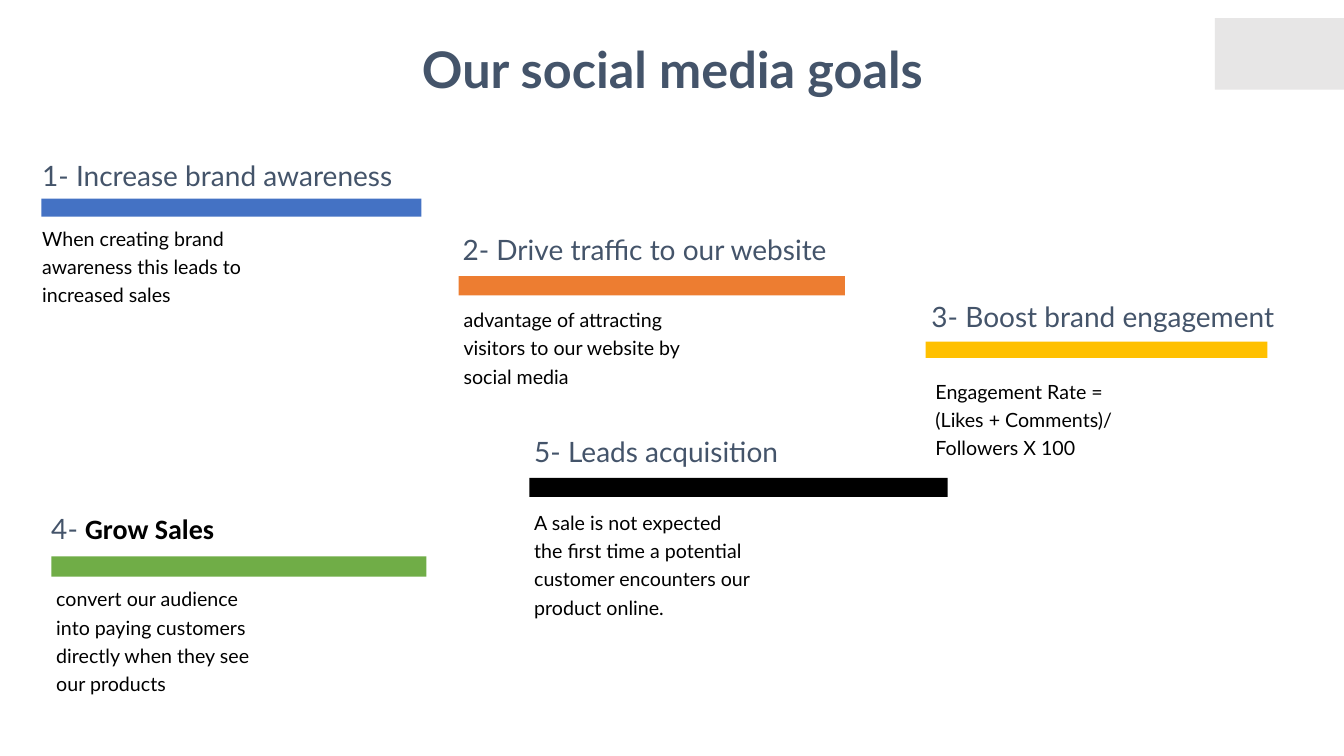
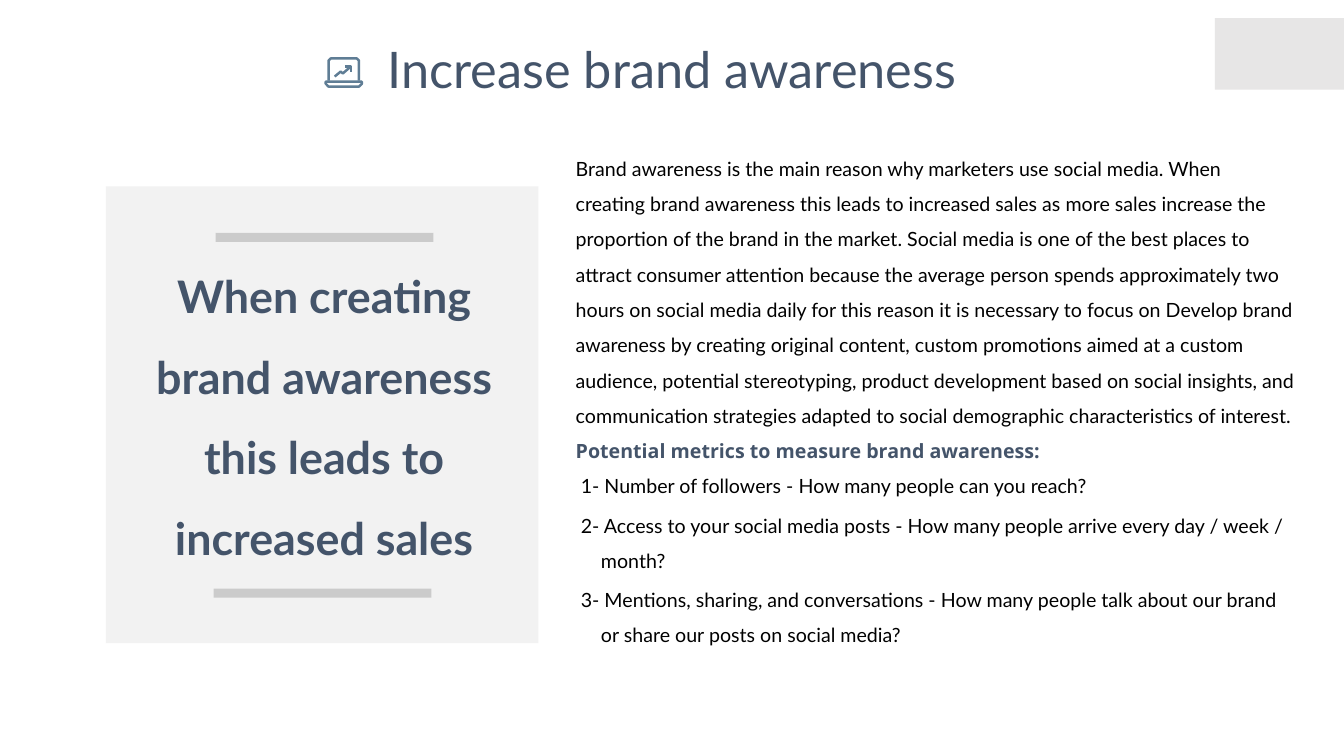
"""Build two slides on social media goals and brand awareness."""
from lxml.etree import SubElement
from pptx import Presentation
from pptx.dml.color import RGBColor
from pptx.enum.shapes import MSO_SHAPE
from pptx.enum.text import PP_ALIGN
from pptx.oxml.ns import qn
from pptx.util import Inches, Pt

NAVY = RGBColor(0x44, 0x54, 0x6A)
BLACK = RGBColor(0, 0, 0)
BLUE = RGBColor(0x44, 0x72, 0xC4)
ORANGE = RGBColor(0xED, 0x7D, 0x31)
GOLD = RGBColor(0xFF, 0xC0, 0x00)
GREEN = RGBColor(0x70, 0xAD, 0x47)
SILVER = RGBColor(0xE7, 0xE6, 0xE6)
PALE = RGBColor(0xF2, 0xF2, 0xF2)
GRAY = RGBColor(0xA5, 0xA5, 0xA5)
STEEL = RGBColor(0x5F, 0x7D, 0x95)


def add_bar(slide, left, top, width, height, color):
    bar = slide.shapes.add_shape(
        MSO_SHAPE.RECTANGLE, Inches(left), Inches(top), Inches(width), Inches(height))
    bar.shadow.inherit = False
    bar.fill.solid()
    bar.fill.fore_color.rgb = color
    bar.line.fill.background()
    return bar


def add_text(slide, left, top, width, height, lines, size, color,
             bold=False, space=None, align=PP_ALIGN.LEFT, inset=(0.1, 0.05)):
    frame = slide.shapes.add_textbox(
        Inches(left), Inches(top), Inches(width), Inches(height)).text_frame
    frame.word_wrap = True
    frame.margin_left = frame.margin_right = Inches(inset[0])
    frame.margin_top = frame.margin_bottom = Inches(inset[1])
    for i, line in enumerate(lines):
        para = frame.paragraphs[0] if i == 0 else frame.add_paragraph()
        para.text = line
        para.alignment = align
        para.line_spacing = space
        para.font.name = "Lato"
        para.font.size = Pt(size)
        para.font.bold = bold
        para.font.color.rgb = color
    return frame.paragraphs


deck = Presentation()
deck.slide_width = Inches(13.33)
deck.slide_height = Inches(7.5)

slides = []
for title, left, width, bold in [
    ("Our social media goals", 3.94, 5.46, True),
    ("Increase brand awareness", 3.64, 6.05, False),
]:
    slide = deck.slides.add_slide(deck.slide_layouts[6])
    add_bar(slide, 12.05, 0.18, 1.28, 0.71, SILVER)
    add_text(slide, left, 0.36, width, 0.66, [title], 36, NAVY, bold,
             align=PP_ALIGN.CENTER, inset=(0.05, 0.02))
    slides.append(slide)
goals, brand = slides

for head, head_at, bar_at, color, body, body_at in [
    ("1- Increase brand awareness", (0.32, 1.52, 3.82, 0.44),
     (0.41, 1.97, 3.77, 0.18), BLUE,
     "When creating brand awareness this leads to increased sales",
     (0.32, 2.15, 2.37, 0.91)),
    ("2- Drive traffic to our website", (4.49, 2.26, 3.97, 0.44),
     (4.55, 2.74, 3.83, 0.19), ORANGE,
     "advantage of attracting visitors to our website by social media",
     (4.5, 2.96, 2.37, 0.91)),
    ("3- Boost brand engagement", (9.14, 2.92, 3.71, 0.44),
     (9.18, 3.39, 3.39, 0.16), GOLD,
     "Engagement Rate = (Likes + Comments)/ Followers X 100",
     (9.18, 3.67, 2.03, 0.91)),
    ("4- ", (0.41, 5.03, 3.82, 0.44),
     (0.51, 5.52, 3.72, 0.2), GREEN,
     "convert our audience into paying customers directly when they see our products",
     (0.46, 5.73, 2.37, 1.2)),
    ("5- Leads acquisition", (5.2, 4.26, 2.72, 0.44),
     (5.25, 4.74, 4.15, 0.19), BLACK,
     "A sale is not expected the first time a potential customer encounters "
     "our product online.",
     (5.2, 4.97, 2.37, 1.19)),
]:
    add_bar(goals, *bar_at, color)
    paras = add_text(goals, *head_at, [head], 20, NAVY)
    if head == "4- ":
        run = paras[0].add_run()
        run.text = "Grow Sales"
        run.font.name = "Calibri"
        run.font.bold = True
        run.font.color.rgb = BLACK
    add_text(goals, *body_at, [body], 14, BLACK, space=Pt(20.2))

paras = add_text(brand, 5.59, 1.38, 7.38, 5.47, [
    "Brand awareness is the main reason why marketers use social media. When "
    "creating brand awareness this leads to increased sales as more sales increase "
    "the proportion of the brand in the market. Social media is one of the best "
    "places to attract consumer attention because the average person spends "
    "approximately two hours on social media daily for this reason it is necessary "
    "to focus on Develop brand awareness by creating original content, custom "
    "promotions aimed at a custom audience, potential stereotyping, product "
    "development based on social insights, and communication strategies adapted to "
    "social demographic characteristics of interest.",
    "Potential metrics to measure brand awareness:",
    "1- Number of followers - How many people can you reach?",
    "2- Access to your social media posts - How many people arrive every day / "
    "week / month?",
    "3- Mentions, sharing, and conversations - How many people talk about our brand "
    "or share our posts on social media?",
], 14, BLACK, space=1.5, inset=(0.12, 0.06))
paras[1].font.name = "Open Sans"
paras[1].font.bold = True
paras[1].font.color.rgb = NAVY
for para in paras[2:]:
    props = para._p.get_or_add_pPr()
    props.set("marL", str(Inches(0.25)))
    props.set("indent", str(Inches(-0.2)))
for para in paras[3:]:
    para.space_before = Pt(2.8)

add_bar(brand, 1.05, 1.85, 4.29, 4.53, PALE)
add_text(brand, 1.29, 2.35, 3.85, 3.23,
         ["When creating brand awareness this leads to increased sales"],
         32, NAVY, True, 1.5, PP_ALIGN.CENTER)
for left, top in [(2.14, 2.31), (2.12, 5.84)]:
    rule = add_bar(brand, left, top, 2.16, 0.09, GRAY)
    tint = rule._element.spPr.find(qn("a:solidFill"))[0]
    SubElement(tint, qn("a:alpha")).set("val", "50000")

screen = [(3.26, 0.8), (3.26, 0.6), (3.28, 0.58), (3.54, 0.58), (3.56, 0.6), (3.56, 0.8)]
base = [(3.23, 0.81), (3.59, 0.81), (3.59, 0.83), (3.56, 0.86), (3.26, 0.86), (3.23, 0.83)]
trend = [(3.32, 0.76), (3.38, 0.71), (3.4, 0.73), (3.48, 0.66)]
tip = [(3.42, 0.66), (3.48, 0.66), (3.48, 0.71)]
for points in [screen, base, trend, tip]:
    spots = [(Inches(x), Inches(y)) for x, y in points]
    pen = brand.shapes.build_freeform(*spots[0])
    pen.add_line_segments(spots[1:], close=points is base)
    icon = pen.convert_to_shape()
    icon.shadow.inherit = False
    icon.fill.background()
    icon.line.color.rgb = STEEL
    icon.line.width = Pt(1.75)

deck.save("out.pptx")
